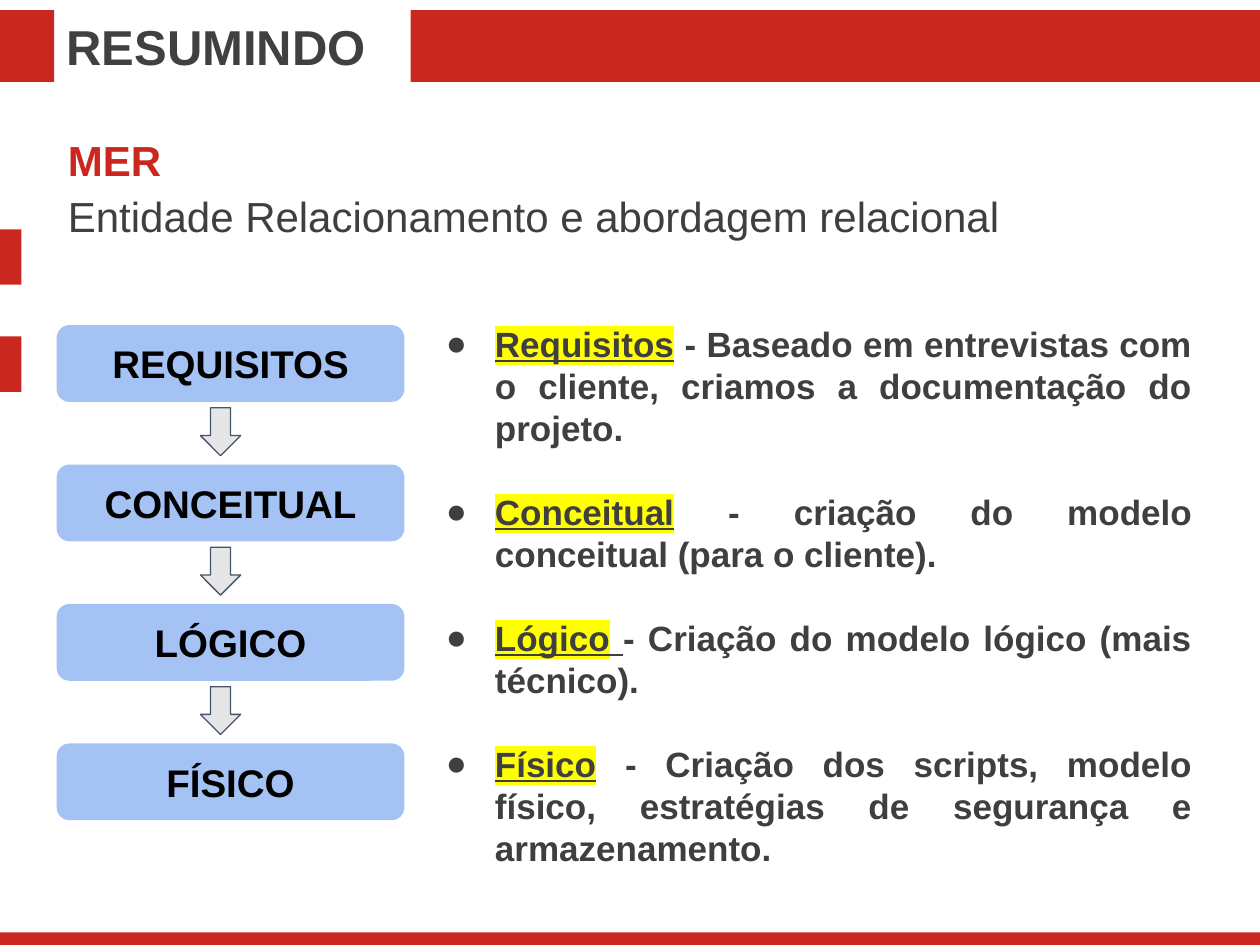
from lxml.etree import SubElement
from pptx import Presentation
from pptx.dml.color import RGBColor
from pptx.enum.shapes import MSO_SHAPE
from pptx.enum.text import MSO_ANCHOR, PP_ALIGN
from pptx.oxml import parse_xml
from pptx.oxml.ns import nsdecls, qn
from pptx.util import Inches, Pt

RED, GRAY, YELLOW = "CA2721", "3F3F3F", "FFFF00"
STEPS = ["REQUISITOS", "CONCEITUAL", "LÓGICO", "FÍSICO"]
NOTES = [
    [("Requisitos", True, True),
     (" - Baseado em entrevistas com o cliente, criamos a documentação do projeto.", False, False)],
    [("Conceitual", True, True),
     (" - criação do modelo conceitual (para o cliente).", False, False)],
    [("Lógico", True, True), (" ", True, False),
     ("- Criação do modelo lógico (mais técnico).", False, False)],
    [("Físico", True, True),
     (" - Criação dos scripts, modelo físico, estratégias de segurança e armazenamento.", False, False)],
]


def rgb(color):
    """Turn a hex string into a colour."""
    return RGBColor.from_string(color)


def add_run(p, text, color, **fmt):
    """Append a formatted Arial run to a paragraph."""
    r = p.add_run()
    r.text = text
    r.font.color.rgb = rgb(color)
    for name, value in {"name": "Arial", **fmt}.items():
        setattr(r.font, name, value)
    return r


def add_block(s, kind, box, fill, line=None):
    """Add a flat shape with an optional outline."""
    sp = s.shapes.add_shape(kind, *map(Inches, box))
    sp.shadow.inherit = False
    sp.fill.solid()
    sp.fill.fore_color.rgb = rgb(fill)
    if line:
        sp.line.color.rgb = rgb(line)
        sp.line.width = Pt(0.75)
    else:
        sp.line.fill.background()
    return sp


def add_text_box(s, box):
    """Add a wrapping text box and return its text frame."""
    tf = s.shapes.add_textbox(*map(Inches, box)).text_frame
    tf.word_wrap = True
    return tf


def add_heading(s, box, text, color, **fmt):
    """Add a one-line heading."""
    p = add_text_box(s, box).paragraphs[0]
    add_run(p, text, color, **fmt)


def add_frame(s, width, height):
    """Add the red bands and side tabs around the slide."""
    for box in [(0, 0.08, 0.43, 0.57), (3.26, 0.08, width - 3.26, 0.57),
                (-0.15, 1.82, 0.32, 0.44), (-0.15, 2.67, 0.32, 0.44),
                (0, height - 0.1, width, 0.1)]:
        add_block(s, MSO_SHAPE.RECTANGLE, box, RED)


def add_flow(s, box, steps):
    """Stack the step boxes evenly with a down arrow in each gap."""
    x, y, w, h = box
    box_h, arrow_w, arrow_h = 0.61, 0.32, 0.38
    pitch = (h - box_h) / (len(steps) - 1)
    for i, step in enumerate(steps):
        top = y + i * pitch
        sp = add_block(s, MSO_SHAPE.ROUNDED_RECTANGLE, (x, top, w, box_h), "A4C2F4")
        tf = sp.text_frame
        tf.vertical_anchor = MSO_ANCHOR.MIDDLE
        for side in ("left", "top", "right", "bottom"):
            setattr(tf, f"margin_{side}", Inches(0.1))
        p = tf.paragraphs[0]
        p.alignment = PP_ALIGN.CENTER
        add_run(p, step, "000000", size=Pt(22), bold=True)
        if i:
            arrow = (x + 1.14, top - 0.45, arrow_w, arrow_h)
            add_block(s, MSO_SHAPE.DOWN_ARROW, arrow, "E7E6E6", "44546A")


def set_bullet(p):
    """Give a paragraph a round bullet with a hanging indent."""
    pPr = p._p.get_or_add_pPr()
    pPr.set("marL", str(Inches(0.5)))
    pPr.set("indent", str(Inches(-0.39)))
    color = SubElement(pPr, qn("a:buClr"))
    SubElement(color, qn("a:srgbClr"), val=GRAY)
    SubElement(pPr, qn("a:buFont"), typeface="Arial")
    SubElement(pPr, qn("a:buChar"), char="●")


def set_highlight(r, color):
    """Mark a run with a background colour."""
    mark = parse_xml(f'<a:highlight {nsdecls("a")}><a:srgbClr val="{color}"/></a:highlight>')
    r._r.get_or_add_rPr().find(qn("a:solidFill")).addnext(mark)


def add_notes(s, box, notes):
    """Add the justified bullets that explain each step."""
    tf = add_text_box(s, box)
    for i, note in enumerate(notes):
        p = tf.add_paragraph() if i else tf.paragraphs[0]
        set_bullet(p)
        p.alignment = PP_ALIGN.JUSTIFY
        p.line_spacing = Pt(24)
        if i:
            p.space_before = Pt(24)
        for text, underline, marked in note:
            r = add_run(p, text, GRAY, size=Pt(20), bold=True, underline=underline)
            if marked:
                set_highlight(r, YELLOW)


def main():
    """Build and save the slide."""
    prs = Presentation()
    prs.slide_width, prs.slide_height = Inches(10), Inches(7.5)
    s = prs.slides.add_slide(prs.slide_layouts[6])
    add_frame(s, 10, 7.5)
    add_heading(s, (0.43, 0.08, 3.08, 0.57), "RESUMINDO", "404040", size=Pt(28), bold=True)
    add_heading(s, (0.44, 1.02, 9.13, 0.51), "MER", RED, size=Pt(24), bold=True)
    add_heading(s, (0.44, 1.46, 9.12, 0.94),
                "Entidade Relacionamento e abordagem relacional", GRAY, size=Pt(24))
    add_flow(s, (0.45, 2.58, 2.76, 3.93), STEPS)
    add_notes(s, (3.33, 2.51, 6.23, 3.9), NOTES)
    prs.save("out.pptx")


if __name__ == "__main__":
    main()
